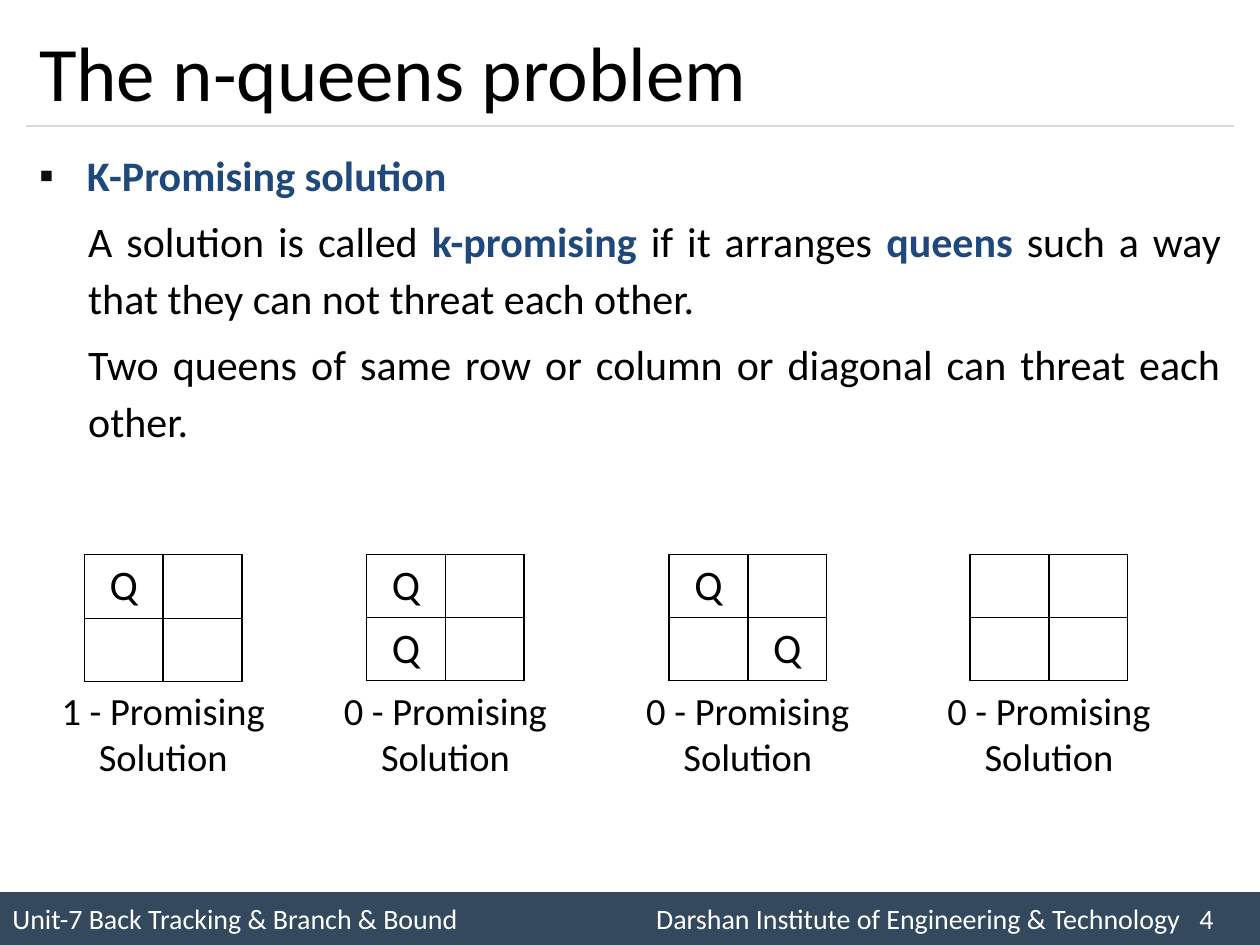
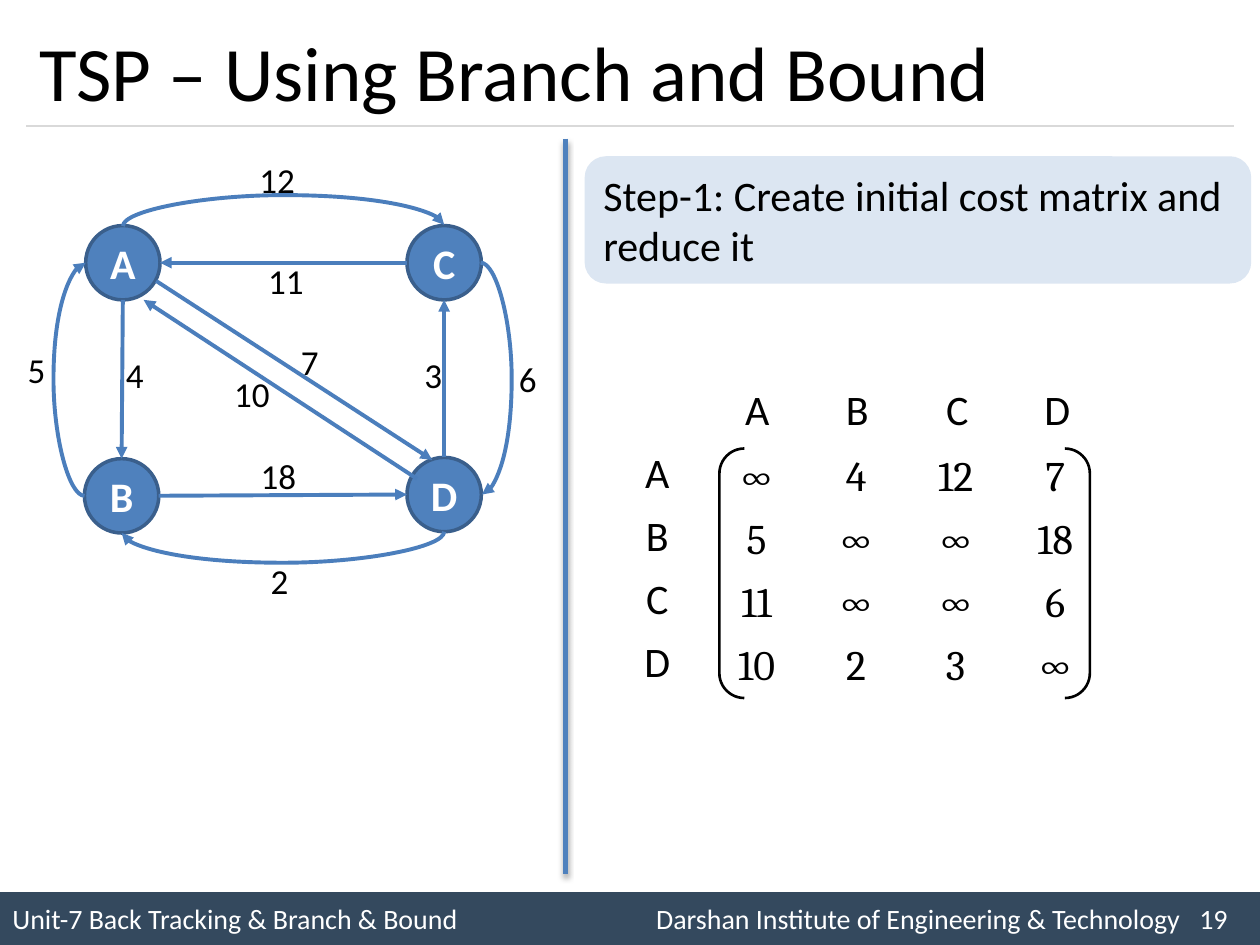
import math

from lxml import etree
from pptx import Presentation
from pptx import util as u
from pptx.dml.color import RGBColor
from pptx.enum import shapes, text
from pptx.oxml.ns import qn

COLORS = {
    "black": "000000",
    "white": "FFFFFF",
    "band": "34495E",
    "rule": "D9D9D9",
    "bullet": "0D0D0D",
    "accent": "1F497D",
    "node": "4F81BD",
    "node_line": "3A5F8C",
    "edge": "4B7EBC",
    "step": "DCE6F2",
}
ALIGN = text.PP_ALIGN
SHAPE = shapes.MSO_SHAPE
LINE = shapes.MSO_CONNECTOR
TOP, LEFT, BOTTOM, RIGHT = 0, 2, 4, 6
NODE_SIZE = 0.59


def rgb(name):
    return RGBColor.from_string(COLORS[name])


def box(x, y, w, h):
    return [u.Inches(v) for v in (x, y, w, h)]


def sub(parent, tag, **attrs):
    return etree.SubElement(parent, qn(tag), attrs)


def add_run(p, words, size, color="black", bold=False, font="Calibri"):
    r = p.add_run()
    r.text = words
    r.font.size = u.Pt(size)
    r.font.name = font
    r.font.bold = bold
    r.font.color.rgb = rgb(color)


def add_shape(s, kind, at, fill=None, line=None, width=1):
    sp = s.shapes.add_shape(kind, *box(*at))
    sp.shadow.inherit = False
    if fill:
        sp.fill.solid()
        sp.fill.fore_color.rgb = rgb(fill)
    else:
        sp.fill.background()
    if line:
        sp.line.color.rgb = rgb(line)
        sp.line.width = u.Pt(width)
    else:
        sp.line.fill.background()
    return sp


def set_text(sp, words, size, align=ALIGN.LEFT, margin=None, **style):
    tf = sp.text_frame
    tf.word_wrap = True
    tf.vertical_anchor = text.MSO_ANCHOR.MIDDLE
    if margin is not None:
        tf.margin_left = tf.margin_right = u.Inches(margin)
        tf.margin_top = tf.margin_bottom = u.Inches(margin)
    p = tf.paragraphs[0]
    p.alignment = align
    add_run(p, words, size, **style)


def add_label(s, words, at, size, align=ALIGN.LEFT):
    sp = s.shapes.add_textbox(*box(*at))
    set_text(sp, words, size, align)
    sp.text_frame.vertical_anchor = text.MSO_ANCHOR.TOP


def add_line(s, start, end, color, width, kind=LINE.STRAIGHT, arrow=False):
    c = s.shapes.add_connector(kind, *box(*start, *end))
    c.line.color.rgb = rgb(color)
    c.line.width = u.Pt(width)
    if arrow:
        sub(c.line._get_or_add_ln(), "a:tailEnd", type="triangle")
    sub(c._element.spPr, "a:effectLst")
    return c


def add_footer(s, number):
    sp = add_shape(s, SHAPE.RECTANGLE, (0, 7.08, 10, 0.42), "band")
    tabs = sub(sp.text_frame.paragraphs[0]._p.get_or_add_pPr(), "a:tabLst")
    for stop in (5.11, 9.42):
        sub(tabs, "a:tab", pos=str(u.Inches(stop)), algn="l")
    words = ("Unit-7 Back Tracking & Branch & Bound",
             "Darshan Institute of Engineering & Technology", str(number))
    set_text(sp, "\t".join(words), 16, color="white")


def new_slide(prs, layout, title, number):
    s = prs.slides.add_slide(prs.slide_layouts[layout])
    add_footer(s, number)
    add_line(s, (0.21, 1), (9.79, 1), "rule", 0.75)
    sp = s.shapes.title
    sp.left, sp.top, sp.width, sp.height = box(0.21, 0.12, 9.58, 0.88)
    set_text(sp, title, 44)
    sp.text_frame.auto_size = text.MSO_AUTO_SIZE.NONE
    return s


def fill_body(sp, paragraphs):
    sp.left, sp.top, sp.width, sp.height = box(0.21, 1.08, 9.58, 5.83)
    tf = sp.text_frame
    tf.auto_size = text.MSO_AUTO_SIZE.NONE
    for i, runs in enumerate(paragraphs):
        p = tf.add_paragraph() if i else tf.paragraphs[0]
        pPr = p._p.get_or_add_pPr()
        pPr.set("marL", str(u.Inches(0.39 if i else 0.38)))
        pPr.set("indent", str(u.Inches(0 if i else -0.38)))
        if i:
            sub(pPr, "a:buNone")
        else:
            sub(sub(pPr, "a:buClr"), "a:srgbClr", val=COLORS["bullet"])
            sub(pPr, "a:buChar", char="▪")
        p.alignment = ALIGN.JUSTIFY
        p.line_spacing = 1.14
        p.space_before = u.Pt(4.8 if i else 0)
        for words, strong in runs:
            add_run(p, words, 24, "accent" if strong else "black", strong)


def add_border(cell):
    tcPr = cell._tc.get_or_add_tcPr()
    for i, side in enumerate(("a:lnL", "a:lnR", "a:lnT", "a:lnB")):
        ln = etree.Element(qn(side), w=str(u.Pt(1)))
        sub(sub(ln, "a:solidFill"), "a:srgbClr", val=COLORS["black"])
        tcPr.insert(i, ln)


def add_grid(s, rows, x, y, w, h, bordered=False):
    tbl = s.shapes.add_table(len(rows), len(rows[0]), *box(x, y, w, h)).table
    tbl.first_row = tbl.horz_banding = False
    for r, row in enumerate(rows):
        for c, letter in enumerate(row):
            cell = tbl.cell(r, c)
            cell.fill.background()
            cell.vertical_anchor = text.MSO_ANCHOR.MIDDLE
            if bordered:
                add_border(cell)
            if letter.strip():
                p = cell.text_frame.paragraphs[0]
                p.alignment = ALIGN.CENTER
                add_run(p, letter, 24)


def add_board(s, x, rows, k):
    add_grid(s, rows, x, 4.4, 1.25, 1, bordered=True)
    add_label(s, f"{k} - Promising Solution", (x - 0.3, 5.4, 1.85, 0.84), 22,
              ALIGN.CENTER)


def add_node(s, letter, x, y):
    sp = add_shape(s, SHAPE.OVAL, (x, y, NODE_SIZE, NODE_SIZE), "node",
                   "node_line", 2)
    set_text(sp, letter, 24, ALIGN.CENTER, 0, color="white", bold=True)
    return sp


def site_point(node, site):
    angle = math.radians(90 + 45 * site)
    radius = NODE_SIZE / 2
    return (node.left.inches + radius * (1 + math.cos(angle)),
            node.top.inches + radius * (1 - math.sin(angle)))


def glue(c, a, a_site, b, b_site):
    ends = c._element.nvCxnSpPr.cNvCxnSpPr
    sub(ends, "a:stCxn", id=str(a.shape_id), idx=str(a_site))
    sub(ends, "a:endCxn", id=str(b.shape_id), idx=str(b_site))


def add_edge(s, a, a_site, b, b_site):
    c = add_line(s, site_point(a, a_site), site_point(b, b_site), "edge", 2.25,
                 arrow=True)
    glue(c, a, a_site, b, b_site)


def add_arc(s, a, b, site, turn=0, flips=(), bulge=25):
    (x1, y1), (x2, y2) = site_point(a, site), site_point(b, site)
    mid_x, mid_y = (x1 + x2) / 2, (y1 + y2) / 2
    half = max(abs(x2 - x1), abs(y2 - y1)) / 2
    c = add_line(s, (mid_x - 0.005, mid_y - half),
                 (mid_x + 0.005, mid_y + half), "edge", 2.25, LINE.CURVE, True)
    xfrm = c._element.spPr.find(qn("a:xfrm"))
    xfrm.set("rot", str(turn * 60000))
    for flip in flips:
        xfrm.set(flip, "1")
    geom = c._element.spPr.find(qn("a:prstGeom"))
    guides = geom.find(qn("a:avLst"))
    if guides is None:
        guides = sub(geom, "a:avLst")
    sub(guides, "a:gd", name="adj1", fmla=f"val {bulge * 100000}")
    glue(c, a, site, b, site)


def add_graph(s):
    a = add_node(s, "A", 0.68, 1.79)
    b = add_node(s, "B", 0.67, 3.64)
    c = add_node(s, "C", 3.23, 1.79)
    d = add_node(s, "D", 3.23, 3.63)
    add_edge(s, c, LEFT, a, RIGHT)
    add_edge(s, a, BOTTOM, b, TOP)
    add_edge(s, b, RIGHT, d, LEFT)
    add_edge(s, d, TOP, c, BOTTOM)
    add_line(s, (1.24, 2.23), (3.43, 3.65), "edge", 2.25, arrow=True)
    add_line(s, (3.31, 3.8), (1.14, 2.38), "edge", 2.25, arrow=True)
    add_arc(s, b, a, LEFT, 180, ("flipH",), -25)
    add_arc(s, a, c, TOP, 90, ("flipH", "flipV"))
    add_arc(s, c, d, RIGHT)
    add_arc(s, d, b, BOTTOM, 90)
    costs = (("4", 0.9, 2.76), ("5", 0.12, 2.72), ("18", 1.97, 3.56),
             ("10", 1.76, 2.91), ("7", 2.29, 2.65), ("11", 2.03, 2.01),
             ("3", 3.27, 2.76), ("6", 4.02, 2.79), ("12", 1.96, 1.21),
             ("2", 2.05, 4.39))
    for cost, x, y in costs:
        add_label(s, cost, (x, y, 0.51 if len(cost) > 1 else 0.31, 0.44), 20)


def add_cost_matrix(s):
    names = "ABCD"
    add_grid(s, [" " + names] + [n + " " * 4 for n in names],
             4.82, 3.01, 3.97, 2.5)
    costs = ("∞ 4 12 7", "5 ∞ ∞ 18", "11 ∞ ∞ 6", "10 2 3 ∞")
    for r, row in enumerate(costs):
        for c, cost in enumerate(row.split()):
            sp = add_shape(s, SHAPE.RECTANGLE,
                           (5.72 + 0.79 * c, 3.57 + 0.5 * r, 0.57, 0.39),
                           "white")
            set_text(sp, cost, 24, ALIGN.CENTER, 0, font="Cambria")
    sp = add_shape(s, SHAPE.DOUBLE_BRACKET, (5.71, 3.56, 2.94, 1.98),
                   line="black", width=1.5)
    sp.adjustments[0] = 0.1


def add_divider(s):
    c = add_line(s, (4.49, 1.1), (4.49, 6.94), "node", 3)
    shadow = sub(c._element.spPr.find(qn("a:effectLst")), "a:outerShdw",
                 blurRad=str(u.Pt(3)), dist=str(u.Pt(2)), dir="5400000")
    tint = sub(shadow, "a:srgbClr", val=COLORS["black"])
    sub(tint, "a:alpha", val="35000")


def queens_slide(prs):
    s = new_slide(prs, 1, "The n-queens problem", 4)
    fill_body(s.placeholders[1], (
        (("K-Promising solution", True),),
        (("A solution is called ", False), ("k-promising", True),
         (" if it arranges ", False), ("queens", True),
         (" such a way that they can not threat each other.", False)),
        (("Two queens of same row or column or diagonal can threat "
          "each other.", False),),
    ))
    add_board(s, 0.67, ("Q ", "  "), 1)
    add_board(s, 2.91, ("Q ", "Q "), 0)
    add_board(s, 5.31, ("Q ", " Q"), 0)
    add_board(s, 7.7, ("  ", "  "), 0)


def tsp_slide(prs):
    s = new_slide(prs, 5, "TSP – Using Branch and Bound", 19)
    add_graph(s)
    step = add_shape(s, SHAPE.ROUNDED_RECTANGLE, (4.64, 1.24, 5.29, 1.01),
                     "step")
    set_text(step, "Step-1: Create initial cost matrix and reduce it", 24)
    add_cost_matrix(s)
    add_divider(s)


def main():
    prs = Presentation()
    prs.slide_width, prs.slide_height = u.Inches(10), u.Inches(7.5)
    queens_slide(prs)
    tsp_slide(prs)
    prs.save("out.pptx")


if __name__ == "__main__":
    main()
